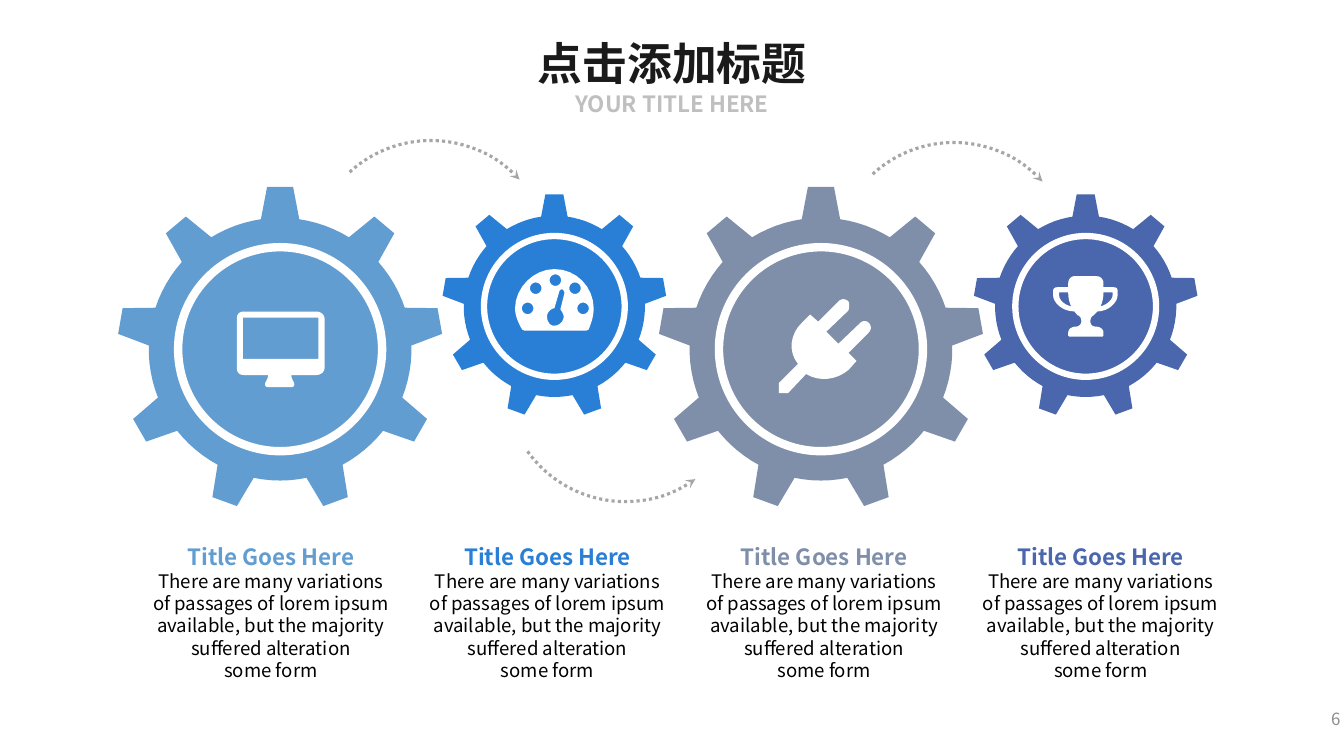
from dataclasses import dataclass
from math import cos, radians, sin

from lxml import etree
from pptx import Presentation
from pptx import util as u
from pptx.dml.color import RGBColor
from pptx.enum import dml, shapes, text
from pptx.oxml import ns


@dataclass(frozen=True)
class Theme:
    font: str = "Noto Sans CJK SC"
    ink: str = "1A1A1A"
    body: str = "000000"
    muted: str = "BFBFBF"
    number: str = "8C8C8C"
    arrow: str = "A6A6A6"
    white: str = "FFFFFF"
    sky: str = "629DD1"
    blue: str = "297FD5"
    slate: str = "7F8FA9"
    indigo: str = "4A66AC"
    title_size: float = 32
    heading_size: float = 16
    body_size: float = 13.3
    number_size: float = 12


THEME = Theme()
LARGE, SMALL = 1, 0.69
ICON_UNIT = u.Inches(0.01) / u.Cm(1)  # cm per icon grid step

# Gear: colour, centre x, centre y (cm), scale
GEARS = [
    (THEME.sky, 7.06, 8.8, LARGE),
    (THEME.blue, 13.97, 7.72, SMALL),
    (THEME.slate, 20.69, 8.8, LARGE),
    (THEME.indigo, 27.36, 7.72, SMALL),
]

# Arrow: centre x, centre y (cm), rotation, flipped
ARROWS = [
    (10.86, 6.57, 317.5, False),
    (24.04, 6.62, 317.5, False),
    (15.76, 9.61, 54.4, True),
]

CAPTION = ["There are many variations of passages of lorem ipsum available, "
           "but the majority suffered alteration", "some form"]


def circle(x, y, radius, step=15):
    return [(x + radius * cos(radians(a)), y + radius * sin(radians(a)))
            for a in range(0, 360, step)]


def trace(*nodes):
    """Turn corners (x, y) and cubic curves (six numbers) into points."""
    points = []
    for node in nodes:
        if len(node) == 2:
            points.append(node)
            continue
        ends = [points[-1], node[:2], node[2:4], node[4:]]
        for t in (i / 8 for i in range(1, 9)):
            weights = ((1 - t) ** 3, 3 * t * (1 - t) ** 2, 3 * t * t * (1 - t), t ** 3)
            points.append(tuple(sum(w * p[axis] for w, p in zip(weights, ends))
                                for axis in (0, 1)))
    return points


def gear_outline(x, y, scale, teeth=9):
    root, tip = 3.31 * scale, 4.1 * scale
    pitch = 360 / teeth
    tooth = [(-8.4, root), (-4.6, tip), (4.6, tip), (8.4, root)]
    valley = [(angle, root) for angle in range(12, 30, 4)]
    return [(x + r * sin(radians(k * pitch + a)), y - r * cos(radians(k * pitch + a)))
            for k in range(teeth) for a, r in tooth + valley]


MONITOR = [
    trace((87, 56), (87, 60, 83, 63, 79, 63), (54, 63), (54, 67, 57, 70, 57, 72),
          (57, 74, 56, 75, 54, 75), (31, 75), (29, 75, 28, 74, 28, 72),
          (28, 70, 31, 67, 31, 63), (7, 63), (2, 63, 0, 60, 0, 56), (0, 7),
          (0, 3, 2, 0, 7, 0), (79, 0), (83, 0, 87, 3, 87, 7)),
    [(6, 6), (81, 6), (81, 47), (6, 47)],
]
GAUGE = [
    trace((73, 60), (71, 61), (9, 61), (7, 60), (3, 53, 0, 46, 0, 39),
          (0, 18, 19, 0, 39, 0), (61, 0, 78, 18, 78, 39), (78, 46, 76, 53, 73, 60)),
    trace((49, 24), (49, 22, 48, 21, 47, 20), (46, 20, 44, 21, 44, 22), (39, 39),
          (36, 39, 33, 42, 32, 45), (31, 49, 33, 55, 37, 56),
          (43, 57, 47, 53, 48, 49), (49, 46, 47, 43, 45, 40)),
    *(circle(x, y, 5.7) for x, y in
      [(12.5, 39), (20.5, 19), (40, 11), (59.5, 19), (67.5, 39)]),
]
PLUG = [
    trace((89, 34), (69, 54), (77, 62), (69, 71), (57, 81, 40, 83, 27, 75), (9, 94),
          (0, 94), (0, 84), (19, 65), (9, 53, 11, 35, 23, 24), (31, 16), (39, 23),
          (59, 3), (62, 0, 66, 0, 69, 3), (70, 5, 70, 9, 69, 12), (47, 33), (59, 45),
          (81, 24), (83, 22, 87, 22, 89, 24), (92, 27, 92, 31, 89, 34)),
]
TROPHY = [
    trace((64, 19), (64, 26, 55, 35, 44, 35), (42, 37, 40, 39, 40, 39),
          (38, 40, 37, 42, 37, 45), (37, 47, 38, 50, 42, 50), (46, 50, 50, 52, 50, 56),
          (50, 59), (49, 60), (16, 60), (15, 59), (15, 56), (15, 52, 19, 50, 23, 50),
          (26, 50, 28, 47, 28, 45), (28, 42, 27, 40, 25, 39), (24, 39, 23, 37, 21, 35),
          (9, 35, 0, 26, 0, 19), (0, 15), (0, 12, 2, 11, 4, 11), (15, 11), (15, 7),
          (15, 3, 18, 0, 21, 0), (43, 0), (47, 0, 50, 3, 50, 7), (50, 11), (60, 11),
          (63, 11, 64, 12, 64, 15)),
    trace((15, 16), (6, 16), (6, 19), (6, 23, 10, 28, 18, 30), (16, 26, 15, 21, 15, 16)),
    trace((59, 16), (50, 16), (50, 21, 49, 26, 47, 30), (54, 28, 59, 23, 59, 19)),
]
# Icon: contours, left, top (cm)
ICONS = [(TROPHY, 26.54, 6.96), (MONITOR, 5.97, 7.85),
         (GAUGE, 12.98, 6.78), (PLUG, 19.63, 7.52)]


class SlideBuilder:
    def __init__(self, page, theme):
        self.page, self.theme = page, theme

    def set_text(self, box, lines, size, color, bold=False, align=text.PP_ALIGN.CENTER,
                 anchor=text.MSO_ANCHOR.MIDDLE, wrap=True, inset=0, spacing=None):
        frame = box.text_frame
        frame.word_wrap, frame.vertical_anchor = wrap, anchor
        frame.auto_size = text.MSO_AUTO_SIZE.NONE
        frame.margin_left = frame.margin_right = u.Cm(inset)
        frame.margin_top = frame.margin_bottom = u.Cm(inset / 2)
        para = frame.paragraphs[0]
        para.alignment, para.space_before = align, u.Pt(0)
        if spacing:
            para.line_spacing = spacing
        for index, line in enumerate(lines):
            if index:
                para.add_line_break()
            span = para.add_run()
            span.text = line
            span.font.size, span.font.bold = u.Pt(size), bold
            span.font.color.rgb = RGBColor.from_string(color)
            span.font.name = self.theme.font
            east = etree.SubElement(span.font._element, ns.qn("a:ea"))
            east.set("typeface", self.theme.font)

    def title(self, words, left, top, width, height):
        box = self.page.shapes.title
        box.left, box.top, box.width, box.height = map(u.Cm, (left, top, width, height))
        self.set_text(box, [words], self.theme.title_size, self.theme.ink, bold=True,
                      wrap=False, spacing=0.9)

    def label(self, lines, left, top, width, height, size, color, parent=None, **style):
        box = (parent or self.page).shapes.add_textbox(
            *map(u.Cm, (left, top, width, height)))
        self.set_text(box, lines, size, color, **style)

    def paint(self, shape, color):
        shape.shadow.inherit = False
        shape.fill.solid()
        shape.fill.fore_color.rgb = RGBColor.from_string(color)
        shape.line.fill.background()

    def outline(self, contours, color, parent=None):
        """Fill closed contours, given as points in cm, as one freeform."""
        first, *others = [[(u.Cm(x), u.Cm(y)) for x, y in c] for c in contours]
        builder = (parent or self.page).shapes.build_freeform(*first[0])
        builder.add_line_segments(first[1:])
        for hole in others:
            builder.move_to(*hole[0])
            builder.add_line_segments(hole[1:])
        self.paint(builder.convert_to_shape(), color)

    def gear(self, color, x, y, scale):
        group = self.page.shapes.add_group_shape()
        self.outline([gear_outline(x, y, scale)], color, group)
        radius = 2.57 * scale
        disc = group.shapes.add_shape(shapes.MSO_SHAPE.OVAL, u.Cm(x - radius),
                                      u.Cm(y - radius), u.Cm(2 * radius), u.Cm(2 * radius))
        self.paint(disc, color)
        disc.line.color.rgb = RGBColor.from_string(self.theme.white)
        disc.line.width = u.Pt(6 if scale == LARGE else 4.5)

    def arrow(self, x, y, rotation, flipped, radius=3.03):
        arc = self.page.shapes.add_shape(shapes.MSO_SHAPE.ARC, u.Cm(x - radius),
                                         u.Cm(y - radius), u.Cm(2 * radius), u.Cm(2 * radius))
        arc.shadow.inherit = False
        arc.fill.background()
        arc.rotation = rotation
        if flipped:
            arc._element.spPr.xfrm.set("flipV", "1")
        arc.line.color.rgb = RGBColor.from_string(self.theme.arrow)
        arc.line.width = u.Pt(2.25)
        arc.line.dash_style = dml.MSO_LINE.ROUND_DOT
        line = arc._element.spPr.find(ns.qn("a:ln"))
        line.find(ns.qn("a:prstDash")).set("val", "sysDot")
        etree.SubElement(line, ns.qn("a:tailEnd")).set("type", "stealth")

    def icon(self, contours, left, top):
        self.outline([[(left + x * ICON_UNIT, top + y * ICON_UNIT) for x, y in c]
                      for c in contours], self.theme.white)

    def caption(self, left, color):
        group = self.page.shapes.add_group_shape()
        self.label(["Title Goes Here"], left, 13.69, 6.12, 0.69,
                   self.theme.heading_size, color, group, bold=True)
        self.label(CAPTION, left, 14.35, 6.12, 2.84, self.theme.body_size,
                   self.theme.body, group, anchor=text.MSO_ANCHOR.TOP)


def main():
    deck = Presentation()
    deck.slide_width, deck.slide_height = u.Cm(33.87), u.Cm(19.05)
    slide = SlideBuilder(deck.slides.add_slide(deck.slide_layouts[5]), THEME)
    slide.title("点击添加标题", 6.5, 0.99, 20.88, 1.32)
    slide.label(["YOUR TITLE HERE"], 9.32, 2.29, 15.24, 0.74, THEME.heading_size,
                THEME.muted, bold=True, spacing=0.9)
    for gear in GEARS:
        slide.gear(*gear)
    for arrow in ARROWS:
        slide.arrow(*arrow)
    for icon in ICONS:
        slide.icon(*icon)
    slide.label(["6"], 32.33, 17.6, 1.7, 1.02, THEME.number_size, THEME.number,
                align=text.PP_ALIGN.RIGHT, inset=0.25)
    for column, (color, *_) in enumerate(GEARS):
        slide.caption(3.77 + 6.97 * column, color)
    deck.save("out.pptx")


if __name__ == "__main__":
    main()
